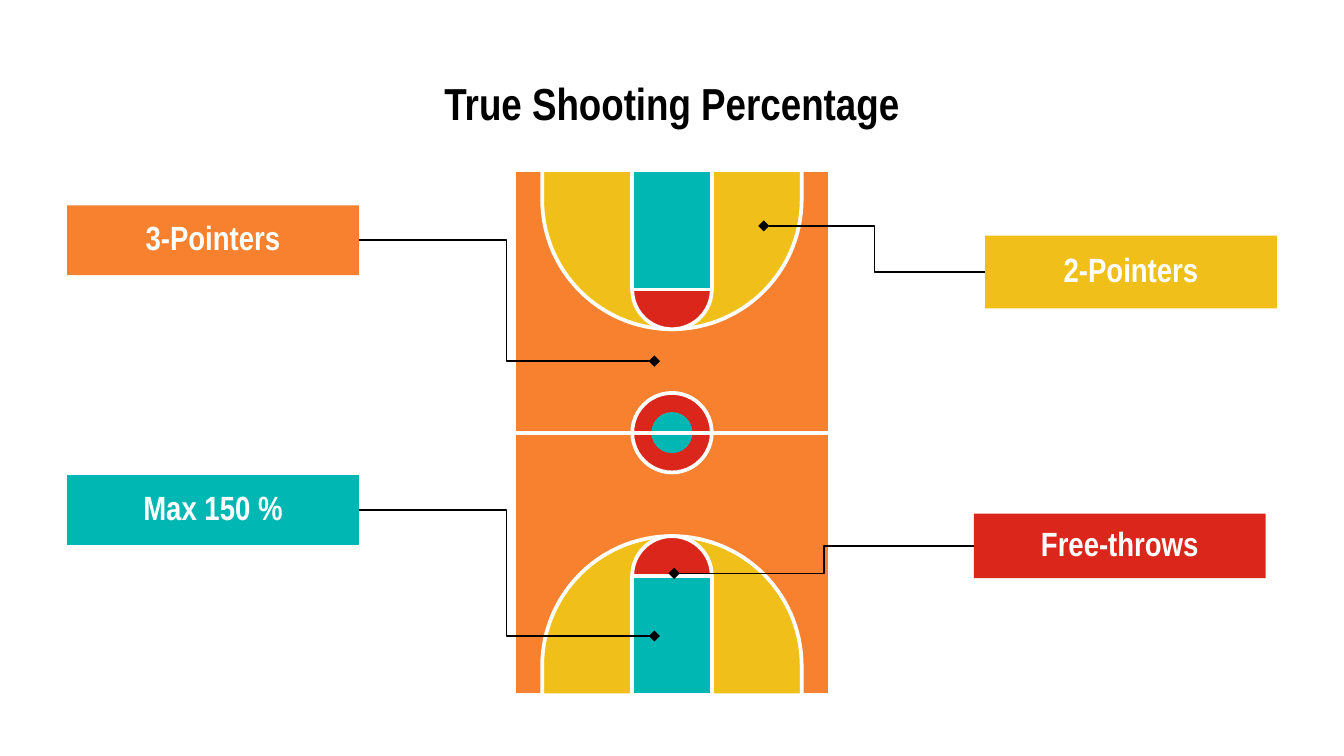
import math

from lxml import etree
from pptx import Presentation
from pptx.dml.color import RGBColor
from pptx.enum import shapes, text
from pptx.oxml import ns
from pptx.util import Pt

COLORS = {
    "white": "FFFFFF",
    "black": "000000",
    "orange": "F8812F",
    "yellow": "F0BF1A",
    "teal": "00B7B3",
    "red": "DB271B",
}
FONT = "Arial Narrow"
COURT_LINE = 2
LABEL_WIDTH = 156.25

# text, colour, left, top, height, pointer end x, pointer end y
LABELS = [
    ("3-Pointers", "orange", 36, 110, 37.4, 350.6, 193.5),
    ("Max 150 %", "teal", 36, 254.5, 37.4, 350.6, 340.7),
    ("2-Pointers", "yellow", 527.8, 126.3, 38.9, 409.2, 121),
    ("Free-throws", "red", 521.8, 275.2, 34.5, 361.2, 307.2),
]


def rgb(name):
    return RGBColor.from_string(COLORS[name])


def style_shape(shape, fill, line=None):
    shape.shadow.inherit = False
    shape.fill.solid()
    shape.fill.fore_color.rgb = rgb(fill)
    if line:
        shape.line.color.rgb = rgb(line)
        shape.line.width = Pt(COURT_LINE)
    else:
        shape.line.fill.background()


def add_preset(slide, kind, left, top, width, height, fill, line=None):
    shape = slide.shapes.add_shape(kind, Pt(left), Pt(top), Pt(width), Pt(height))
    style_shape(shape, fill, line)
    return shape


def add_disc(slide, center_x, center_y, radius, fill, line=None):
    add_preset(slide, shapes.MSO_SHAPE.OVAL, center_x - radius, center_y - radius,
               2 * radius, 2 * radius, fill, line)


def add_line(slide, kind, start, end, color, width):
    connector = slide.shapes.add_connector(kind, *(Pt(value) for value in start + end))
    connector.line.color.rgb = rgb(color)
    connector.line.width = Pt(width)
    etree.SubElement(connector._element.spPr, ns.qn("a:effectLst"))
    return connector


def write_text(shape, content, size, color, bottom_inset=7.2):
    frame = shape.text_frame
    frame.word_wrap = True
    frame.margin_bottom = Pt(bottom_inset)
    frame.margin_top = Pt(0)
    frame.vertical_anchor = text.MSO_ANCHOR.MIDDLE
    paragraph = frame.paragraphs[0]
    paragraph.alignment = text.PP_ALIGN.CENTER
    run = paragraph.add_run()
    run.text = content
    run.font.name = FONT
    run.font.size = Pt(size)
    run.font.bold = True
    run.font.color.rgb = rgb(color)


def add_dome(slide, center_x, base, depth, radius, direction, fill):
    """Draw straight sides from the base line, closed by a half circle."""
    spring = base + direction * (depth - radius)
    angles = [math.pi * step / 60 for step in range(61)]
    arc = [(Pt(center_x + radius * math.cos(angle)),
            Pt(spring + direction * radius * math.sin(angle))) for angle in angles]
    builder = slide.shapes.build_freeform(Pt(center_x + radius), Pt(base))
    builder.add_line_segments(arc + [(Pt(center_x - radius), Pt(base))], close=True)
    style_shape(builder.convert_to_shape(), fill, "white")


def add_half(slide, center_x, base, direction):
    """Draw the scoring area and key that grow from one base line."""
    depth, arc_radius, key_radius = 85.3, 69.5, 21.3
    key_depth = depth - key_radius
    add_dome(slide, center_x, base, depth, arc_radius, direction, "yellow")
    add_dome(slide, center_x, base, depth, key_radius, direction, "red")
    add_preset(slide, shapes.MSO_SHAPE.RECTANGLE, center_x - key_radius,
               min(base, base + direction * key_depth), 2 * key_radius, key_depth,
               "teal", "white")


def add_court(slide, left, top, width, height):
    center_x, center_y = left + width / 2, top + height / 2
    add_preset(slide, shapes.MSO_SHAPE.RECTANGLE, left, top, width, height,
               "orange", "white")
    add_half(slide, center_x, top, 1)
    add_half(slide, center_x, top + height, -1)
    add_disc(slide, center_x, center_y, 21.3, "red", "white")
    add_disc(slide, center_x, center_y, 11, "teal")
    add_line(slide, shapes.MSO_CONNECTOR.STRAIGHT, (left, center_y),
             (left + width, center_y), "white", COURT_LINE)


def add_label(slide, content, color, left, top, height, target_x, target_y):
    box = add_preset(slide, shapes.MSO_SHAPE.RECTANGLE, left, top, LABEL_WIDTH, height, color)
    write_text(box, content, 18, "white", bottom_inset=3)
    edge = left if target_x < left else left + LABEL_WIDTH
    pointer = add_line(slide, shapes.MSO_CONNECTOR.ELBOW, (edge, top + height / 2),
                       (target_x, target_y), "black", 0.75)
    etree.SubElement(pointer.line._get_or_add_ln(), ns.qn("a:tailEnd"), type="diamond")


def add_title(slide, left, top, width, height):
    box = slide.shapes.add_textbox(Pt(left), Pt(top), Pt(width), Pt(height))
    write_text(box, "True Shooting Percentage", 24, "black", bottom_inset=0)


def main():
    presentation = Presentation()
    presentation.slide_width, presentation.slide_height = Pt(720), Pt(405)
    slide = presentation.slides.add_slide(presentation.slide_layouts[6])
    add_title(slide, 36, 32.4, 648, 45.4)
    add_court(slide, 275.4, 91.1, 169.2, 281.4)
    for label in LABELS:
        add_label(slide, *label)
    presentation.save("out.pptx")


if __name__ == "__main__":
    main()
